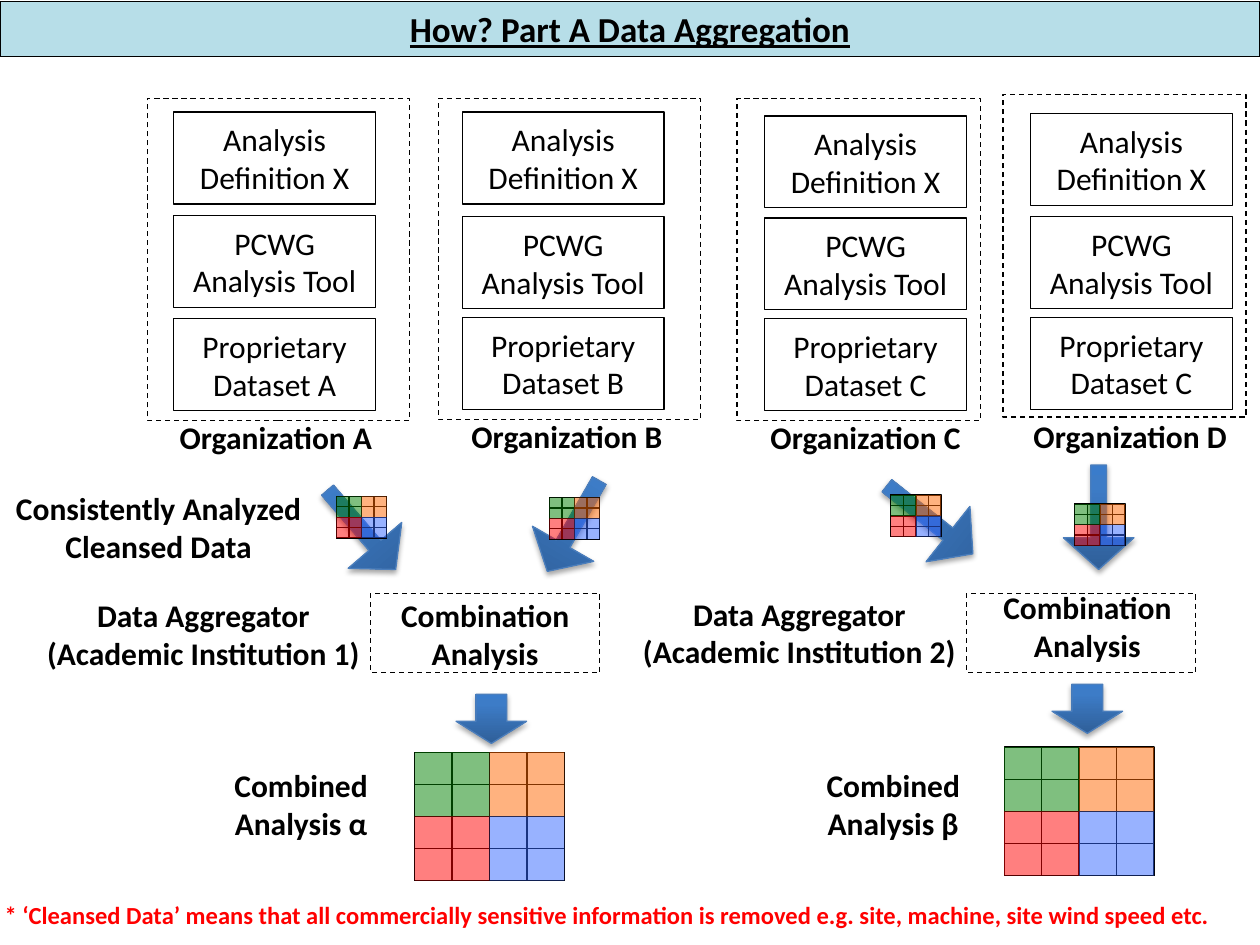
from pptx import Presentation
from pptx.dml.color import RGBColor
from pptx.enum.dml import MSO_LINE
from pptx.enum.shapes import MSO_SHAPE
from pptx.enum.text import MSO_ANCHOR, MSO_AUTO_SIZE, PP_ALIGN
from pptx.oxml import parse_xml
from pptx.oxml.ns import qn
from pptx.util import Inches, Pt

RECT, DOWN = MSO_SHAPE.RECTANGLE, MSO_SHAPE.DOWN_ARROW
DASH = MSO_LINE.DASH
CENTER, MIDDLE = PP_ALIGN.CENTER, MSO_ANCHOR.MIDDLE
GROW = MSO_AUTO_SIZE.SHAPE_TO_FIT_TEXT
NS = 'xmlns:a="http://schemas.openxmlformats.org/drawingml/2006/main"'

TITLE = "How? Part A Data Aggregation"
NOTE = ("* ‘Cleansed Data’ means that all commercially sensitive information "
        "is removed e.g. site, machine, site wind speed etc.")
STEPS = ["Analysis Definition X", "PCWG Analysis Tool"]
BOX = (1.6, 0.73)
# name, dataset, frame, left of boxes, tops of boxes, label place
ORGS = [
    ("A", "A", (1.17, 0.78, 2.08, 2.56), 1.38, (0.89, 1.71, 2.53), (1.27, 3.27)),
    ("B", "B", (3.48, 0.78, 2.08, 2.55), 3.67, (0.89, 1.72, 2.52), (3.58, 3.26)),
    ("C", "C", (5.85, 0.78, 1.93, 2.56), 6.07, (0.92, 1.73, 2.53), (5.95, 3.27)),
    ("D", "C", (7.96, 0.75, 1.93, 2.56), 8.18, (0.9, 1.72, 2.52), (8.05, 3.26)),
]
FLOWS = [
    ((2.59, 3.79, 0.56, 0.83), 319.4, (2.67, 3.94)),
    ((4.27, 3.76, 0.56, 0.83), 29.8, (4.36, 3.95)),
    ((7.1, 3.69, 0.56, 0.87), 308.4, (7.07, 3.93)),
    ((8.44, 3.69, 0.56, 0.83), 0, (8.53, 4)),
]
FRAMES = [(2.94, 4.71, 1.82, 0.63), (7.67, 4.71, 1.82, 0.63)]
LABELS = [
    ("Consistently Analyzed Cleansed Data", (-0.02, 3.83, 2.56, 0.71)),
    ("Data Aggregator (Academic Institution 1)", (0.18, 4.68, 2.87, 0.71)),
    ("Data Aggregator (Academic Institution 2)", (4.91, 4.67, 2.87, 0.71)),
    ("Combination Analysis", (2.94, 4.68, 1.82, 0.71)),
    ("Combination Analysis", (7.72, 4.62, 1.82, 0.71)),
    ("Combined Analysis α", (1.61, 6.03, 1.56, 0.71)),
    ("Combined Analysis β", (6.31, 6.03, 1.56, 0.71)),
]
RESULTS = [
    ((3.62, 5.51, 0.56, 0.39), (3.29, 5.97)),
    ((8.35, 5.43, 0.56, 0.39), (7.97, 5.93)),
]
SMALL, LARGE = (0.4, 0.33), (1.19, 1.02)
QUADS = [["008000", "FF6600"], ["FF0000", "3366FF"]]
STOPS = [(0, "2F5F99"), (80, "3D7CC7"), (100, "3A7CCB")]

deck = Presentation()
deck.slide_width, deck.slide_height = Inches(10), Inches(7.5)
slide = deck.slides.add_slide(deck.slide_layouts[6])


def rgb(code):
    return RGBColor.from_string(code)


def shape(at, fill=None, line="000000", dash=None, kind=RECT, host=slide):
    item = host.shapes.add_shape(kind, *map(Inches, at))
    item.shadow.inherit = False
    if fill:
        item.fill.solid()
        item.fill.fore_color.rgb = rgb(fill)
    else:
        item.fill.background()
    if line:
        item.line.color.rgb = rgb(line)
        item.line.width = Pt(0.75)
        item.line.dash_style = dash
    else:
        item.line.fill.background()
    return item


def write(item, text, size=18, bold=True, color="000000", under=None, wrap=True):
    frame = item.text_frame
    frame.word_wrap = wrap
    para = frame.paragraphs[0]
    para.text = text
    para.alignment = CENTER
    font = para.font
    font.name, font.size, font.bold = "Calibri", Pt(size), bold
    font.underline = under
    font.color.rgb = rgb(color)
    return frame


def label(text, at, **style):
    item = slide.shapes.add_textbox(*map(Inches, at))
    write(item, text, **style).auto_size = GROW


def arrow(at, adj, turn=0):
    item = shape(at, line="4B7EBC", kind=DOWN)
    item.adjustments[0], item.adjustments[1] = adj, 0.45
    item.rotation = turn
    item.fill.gradient()
    item.fill.gradient_angle = 90
    props = item._element.spPr
    stops = "".join(f'<a:gs pos="{pos * 1000}"><a:srgbClr val="{code}"/></a:gs>'
                    for pos, code in STOPS)
    old = props.find(qn("a:gradFill")).find(qn("a:gsLst"))
    old.getparent().replace(old, parse_xml(f"<a:gsLst {NS}>{stops}</a:gsLst>"))
    props.find(qn("a:effectLst")).append(parse_xml(
        f'<a:outerShdw {NS} blurRad="{Pt(3.1)}" dist="{Pt(1.8)}" dir="5400000" '
        'rotWithShape="0"><a:srgbClr val="000000"><a:alpha val="35000"/>'
        '</a:srgbClr></a:outerShdw>'))


def grid(place, size):
    (x, y), (w, h) = place, size
    group = slide.shapes.add_group_shape()
    for i in range(4):
        shape((x + i * w / 4, y, w / 4, h), host=group)
    for i in range(4):
        shape((x, y + i * h / 4, w, h / 4), host=group)
    for r, row in enumerate(QUADS):
        for c, code in enumerate(row):
            at = (x + c * w / 2, y + r * h / 2, w / 2, h / 2)
            quad = shape(at, code, None, host=group)
            tint = quad._element.spPr.find(qn("a:solidFill"))[0]
            tint.append(parse_xml(f'<a:alpha {NS} val="50000"/>'))


for name, data, frame, left, tops, place in ORGS:
    shape(frame, dash=DASH)
    for text, top in zip(STEPS + [f"Proprietary Dataset {data}"], tops):
        box = shape((left, top, *BOX))
        write(box, text, bold=False).vertical_anchor = MIDDLE
    label(f"Organization {name}", (*place, 1.84, 0.4))

for at, turn, place in FLOWS:
    arrow(at, 0.221, turn)
    grid(place, SMALL)

for at in FRAMES:
    shape(at, dash=DASH)
for text, at in LABELS:
    label(text, at)

for at, place in RESULTS:
    arrow(at, 0.435)
    grid(place, LARGE)

bar = shape((0, 0.01, 10, 0.44), "B7DEE8")
write(bar, TITLE, size=20, under=True).vertical_anchor = MIDDLE
label(NOTE, (-0.07, 7.09, 9.78, 0.34), size=14, color="FF0000", wrap=False)

deck.save("out.pptx")
